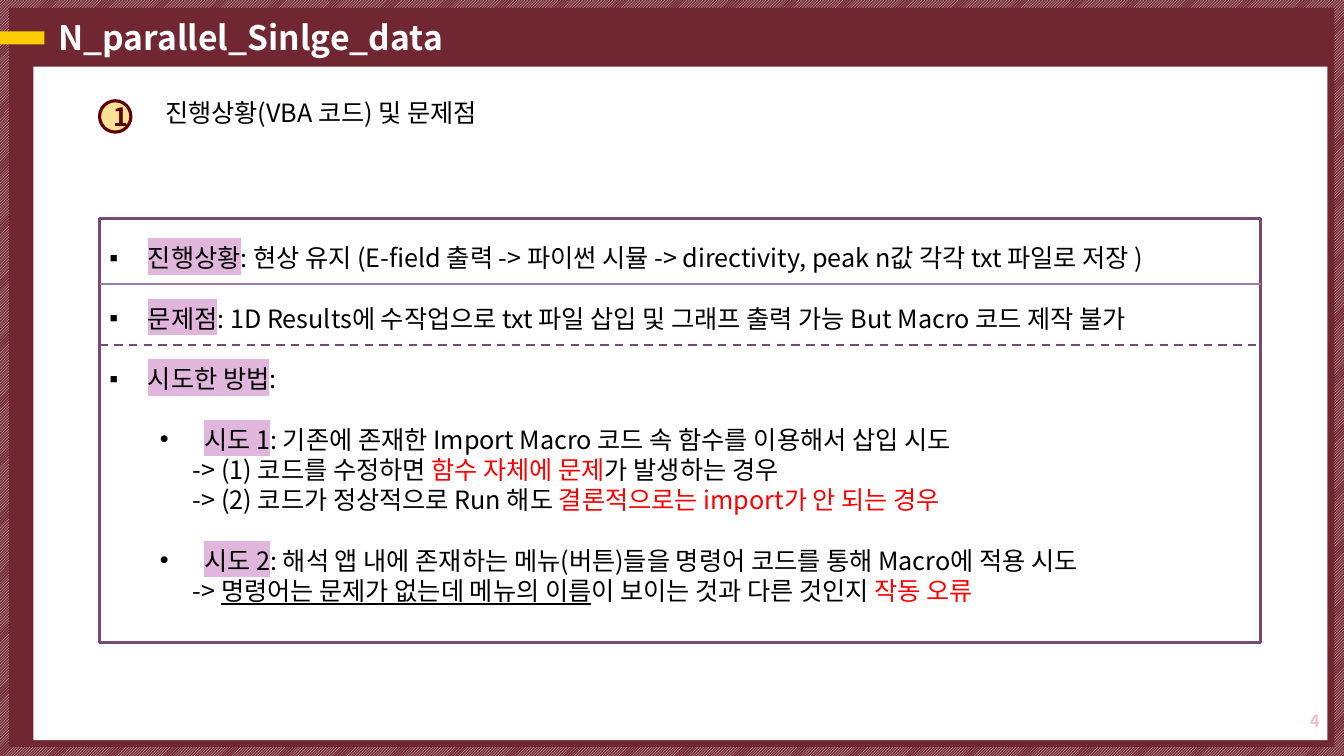
import pptx
import pptx.dml.color
import pptx.enum.dml
import pptx.enum.shapes
import pptx.enum.text
import pptx.oxml.ns
import pptx.util
from lxml import etree

Cm = pptx.util.Cm
Pt = pptx.util.Pt
RGBColor = pptx.dml.color.RGBColor
SHAPE = pptx.enum.shapes.MSO_SHAPE
ALIGN = pptx.enum.text.PP_ALIGN
ANCHOR = pptx.enum.text.MSO_ANCHOR
qn = pptx.oxml.ns.qn

FONT = "Noto Sans CJK KR"
BLACK = RGBColor(0x00, 0x00, 0x00)
WHITE = RGBColor(0xFF, 0xFF, 0xFF)
RED = RGBColor(0xFF, 0x00, 0x00)
MAROON = RGBColor(0x71, 0x27, 0x32)
DARK_RED = RGBColor(0x5E, 0x00, 0x00)
YELLOW = RGBColor(0xFD, 0xCD, 0x03)
CREAM = RGBColor(0xFF, 0xE2, 0x96)
PINK = RGBColor(0xE9, 0xC1, 0xC7)
PURPLE = RGBColor(0x78, 0x49, 0x75)
LIGHT_PURPLE = RGBColor(0xA1, 0x7C, 0xAC)
LILAC = RGBColor(0xE0, 0xB6, 0xDC)


def add_text(paragraph, text, size=18, color=BLACK, bold=False, underline=False, highlight=None):
    run = paragraph.add_run()
    run.text = text
    run.font.size = Pt(size)
    run.font.bold = bold
    run.font.underline = underline
    run.font.color.rgb = color
    properties = run.font._element
    if highlight is not None:
        marker = etree.SubElement(properties, qn("a:highlight"))
        etree.SubElement(marker, qn("a:srgbClr"), val=str(highlight))
    run.font.name = FONT
    etree.SubElement(properties, qn("a:ea"), typeface=FONT)


def add_block(kind, left, top, width, height, fill=None, line=None):
    block = slide.shapes.add_shape(kind, Cm(left), Cm(top), Cm(width), Cm(height))
    block.shadow.inherit = False
    if fill is None:
        block.fill.background()
    else:
        block.fill.solid()
        block.fill.fore_color.rgb = fill
    if line is None:
        block.line.fill.background()
    else:
        block.line.color.rgb = line
        block.line.width = Pt(2.25)
    return block


presentation = pptx.Presentation()
presentation.slide_width = Cm(33.87)
presentation.slide_height = Cm(19.05)
slide = presentation.slides.add_slide(presentation.slide_layouts[5])

# Frame
border = add_block(SHAPE.RECTANGLE, 0, 0, 33.87, 19.05)
border.fill.patterned()
border.fill.pattern = pptx.enum.dml.MSO_PATTERN.DARK_UPWARD_DIAGONAL
border.fill.fore_color.rgb = WHITE
border.fill.back_color.rgb = MAROON
add_block(SHAPE.RECTANGLE, 0.23, 0.2, 33.4, 18.62, MAROON)
add_block(SHAPE.RECTANGLE, 0.84, 1.68, 32.61, 16.97, WHITE)
add_block(SHAPE.RECTANGLE, -0.1, 0.79, 1.22, 0.33, YELLOW)

# Title
title = slide.shapes.title
slide.shapes.element.append(title.element)
title.left, title.top, title.width, title.height = Cm(1.22), Cm(0.41), Cm(28.91), Cm(1.17)
title.text_frame.vertical_anchor = ANCHOR.MIDDLE
title_paragraph = title.text_frame.paragraphs[0]
title_paragraph.alignment = ALIGN.LEFT
title_paragraph.line_spacing = 0.9
add_text(title_paragraph, "N_parallel_Sinlge_data", size=24, color=WHITE, bold=True)

# Page number
page_number = slide.shapes.add_textbox(Cm(23.93), Cm(17.65), Cm(9.58), Cm(1.02))
page_number.text_frame.word_wrap = True
page_number.text_frame.vertical_anchor = ANCHOR.MIDDLE
page_number.text_frame.paragraphs[0].alignment = ALIGN.RIGHT
add_text(page_number.text_frame.paragraphs[0], "4", size=12, color=PINK, bold=True)

# Numbered heading
badge = add_block(SHAPE.OVAL, 2.51, 2.54, 0.79, 0.79, CREAM, DARK_RED)
badge_frame = badge.text_frame
badge_frame.word_wrap = False
badge_frame.margin_left = Cm(0.3)
badge_frame.margin_right = badge_frame.margin_top = badge_frame.margin_bottom = 0
badge_frame.vertical_anchor = ANCHOR.MIDDLE
badge_frame.paragraphs[0].alignment = ALIGN.CENTER
add_text(badge_frame.paragraphs[0], "1", color=DARK_RED, bold=True)

heading = slide.shapes.add_textbox(Cm(3.91), Cm(2.34), Cm(9.42), Cm(1.02))
heading.text_frame.word_wrap = False
add_text(heading.text_frame.paragraphs[0], "진행상황(VBA 코드) 및 문제점")

# Report: bullet, left margin, indent, then the text pieces with their format
MARK = {"highlight": LILAC}
ALERT = {"color": RED}
TOPIC = ("▪", 0.97, -0.97)
ATTEMPT = ("•", 2.39, -1.12)
DETAIL = (None, 2.1, 0)
report_lines = [
    (TOPIC, [("진행상황", MARK),
             (": 현상 유지 (E-field 출력 -> 파이썬 시뮬 -> directivity, peak n값 각각 txt 파일로 저장 )", {})]),
    (TOPIC, [("문제점", MARK),
             (": 1D Results에 수작업으로 txt 파일 삽입 및 그래프 출력 가능 But Macro 코드 제작 불가", {})]),
    (TOPIC, [("시도한 방법", MARK), (":", {})]),
    (ATTEMPT, [("시도 1", MARK),
               (": 기존에 존재한 Import Macro 코드 속 함수를 이용해서 삽입 시도", {})]),
    (DETAIL, [("-> (1) 코드를 수정하면 ", {}), ("함수 자체에 문제", ALERT), ("가 발생하는 경우", {})]),
    (DETAIL, [("-> (2) 코드가 정상적으로 Run 해도 ", {}),
              ("결론적으로는 import가 안 되는 경우", ALERT)]),
    (ATTEMPT, [("시도 2", MARK),
               (": 해석 앱 내에 존재하는 메뉴(버튼)들을 명령어 코드를 통해 Macro에 적용 시도", {})]),
    (DETAIL, [("-> ", {}), ("명령어는 문제가 없는데 메뉴의 이름", {"underline": True}),
              ("이 보이는 것과 다른 것인지 ", {}), ("작동 오류", ALERT)]),
]

report = add_block(SHAPE.RECTANGLE, 2.51, 5.51, 29.26, 10.69, line=PURPLE)
report_frame = report.text_frame
report_frame.word_wrap = True
report_frame.vertical_anchor = ANCHOR.TOP
report_frame.margin_top = Cm(0.6)
for number, ((bullet, margin, indent), pieces) in enumerate(report_lines):
    paragraph = report_frame.add_paragraph() if number else report_frame.paragraphs[0]
    paragraph.alignment = ALIGN.LEFT
    paragraph.line_spacing = Pt(21.6)
    paragraph.space_before = Pt(21.6 if number and bullet else 0)
    properties = paragraph._p.get_or_add_pPr()
    properties.set("marL", str(Cm(margin)))
    properties.set("indent", str(Cm(indent)))
    if bullet:
        etree.SubElement(properties, qn("a:buFont"), typeface="Arial")
        etree.SubElement(properties, qn("a:buChar"), char=bullet)
    for text, text_format in pieces:
        add_text(paragraph, text, **text_format)

# Dividers
for height, color, dash in [
    (7.16, LIGHT_PURPLE, None),
    (8.69, PURPLE, pptx.enum.dml.MSO_LINE.DASH),
]:
    divider = slide.shapes.add_connector(
        pptx.enum.shapes.MSO_CONNECTOR.STRAIGHT, Cm(2.51), Cm(height), Cm(31.77), Cm(height))
    divider.line.color.rgb = color
    divider.line.width = Pt(1.5)
    divider.line.dash_style = dash
    etree.SubElement(divider.element.spPr, qn("a:effectLst"))

presentation.save("out.pptx")
